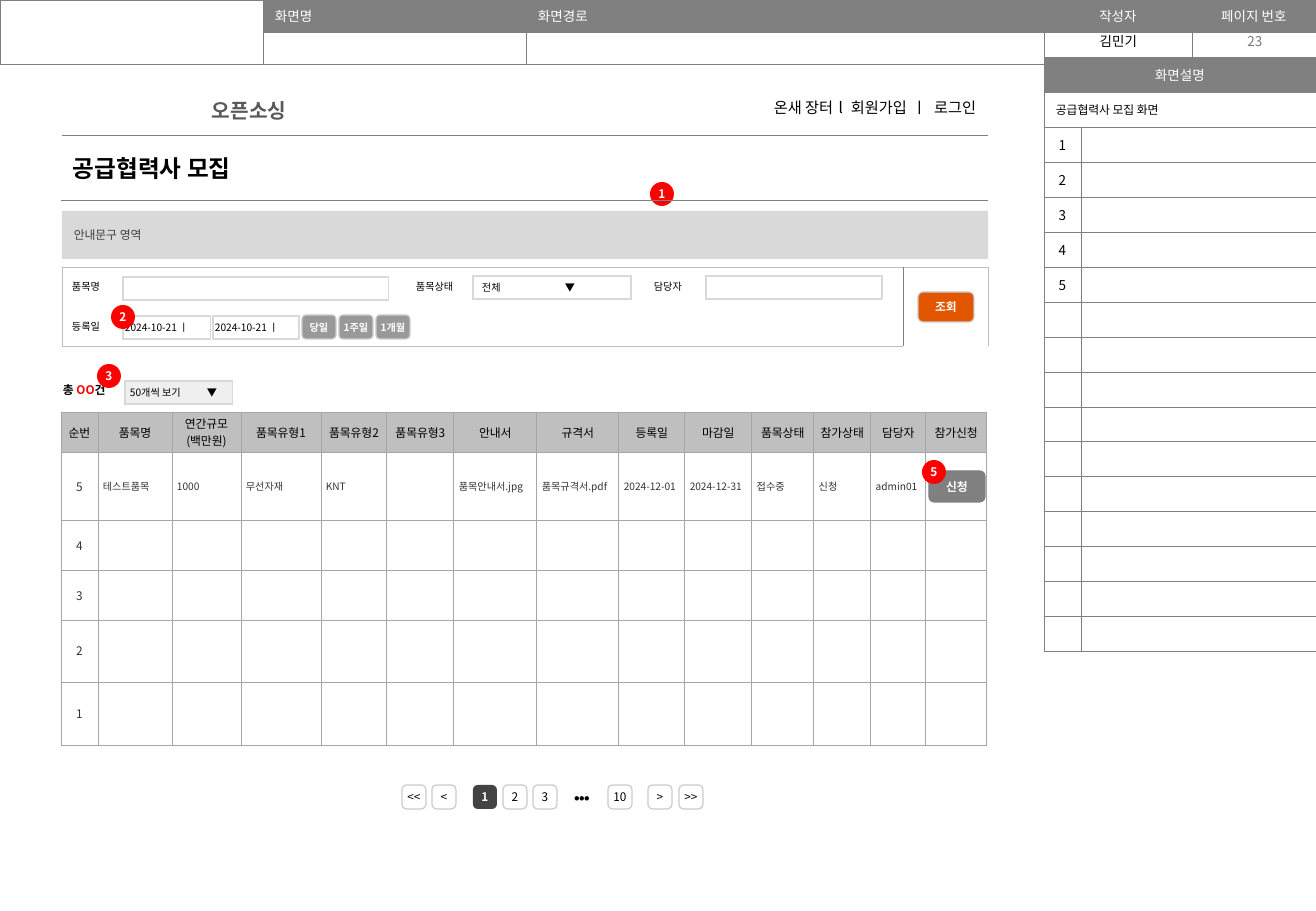
"""Build the supplier recruitment screen specification slide."""
from dataclasses import dataclass, field, replace
from typing import Optional, Union

from lxml.etree import SubElement
from pptx import Presentation
from pptx.dml.color import RGBColor
from pptx.enum.shapes import MSO_SHAPE as Preset
from pptx.enum.text import MSO_ANCHOR as Anchor, PP_ALIGN as Align
from pptx.oxml.ns import qn
from pptx.util import Emu, Pt

PX = 7526
SANS = "Noto Sans CJK KR"
COLORS = {
    "white": "FFFFFF", "black": "000000", "bar": "808080", "number": "797979",
    "grid": "A6A6A6", "head": "BFBFBF", "body": "343434", "field": "D9D9D9",
    "select": "EFEFEF", "current": "434343", "outline": "CCCCCC", "badge": "FF0000",
    "search": "E35600", "period": "999999", "notice": "404040", "site": "595959",
}


@dataclass(frozen=True)
class Style:
    size: int = 7
    color: str = "black"
    bold: bool = False
    align: Align = Align.LEFT
    font: str = SANS
    tab: int = 0
    leading: float = 1.0


@dataclass(frozen=True)
class Run:
    text: str
    color: str = ""
    spacing: int = 0


@dataclass(frozen=True)
class Label:
    text: Union[str, tuple[Run, ...]]
    style: Style = Style()


@dataclass(frozen=True)
class Box:
    left: int
    top: int
    width: int
    height: int
    label: Label
    fill: Optional[str] = None
    line: Optional[str] = None
    radius: Optional[float] = None
    inset: tuple[int, int] = (0, 0)
    anchor: Anchor = Anchor.MIDDLE


@dataclass(frozen=True)
class Grid:
    left: int
    top: int
    cols: list[int]
    rows: list[int]
    labels: dict[tuple[int, int], Label] = field(default_factory=dict)
    fills: dict[tuple[int, int], str] = field(default_factory=dict)
    merges: tuple[tuple[int, int, int, int], ...] = ()
    outer: tuple[str, str, str, str] = ("bar",) * 4
    inner: Optional[str] = "bar"
    divider: int = -1
    weight: float = 0.25
    inset: tuple[int, int] = (12, 6)
    empty: int = 6


def rgb(name: str) -> RGBColor:
    return RGBColor.from_string(COLORS[name])


def px(value: int) -> Emu:
    return Emu(value * PX)


def apply(target, values: dict) -> None:
    for name, value in values.items():
        setattr(target, name, value)


def margins(inset: tuple[int, int]) -> dict:
    across, down = map(px, inset)
    return {"margin_left": across, "margin_right": across,
            "margin_top": down, "margin_bottom": down}


def write(frame, label: Label) -> None:
    style = label.style
    lines = ([[Run(line)] for line in label.text.split("\n")]
             if isinstance(label.text, str) else [label.text])
    for index, line in enumerate(lines):
        paragraph = frame.add_paragraph() if index else frame.paragraphs[0]
        apply(paragraph, {"alignment": style.align, "line_spacing": style.leading})
        if style.tab:
            stops = SubElement(paragraph._p.get_or_add_pPr(), qn("a:tabLst"))
            SubElement(stops, qn("a:tab"), pos=str(px(style.tab)), algn="l")
        for part in line:
            run = paragraph.add_run()
            run.text = part.text
            apply(run.font, {"size": Pt(style.size), "bold": style.bold, "name": style.font})
            run.font.color.rgb = rgb(part.color or style.color)
            props = run.font._element
            SubElement(props, qn("a:ea"), typeface=style.font)
            if part.spacing:
                props.set("spc", str(part.spacing))


def draw_box(shapes, box: Box) -> None:
    place = [px(v) for v in (box.left, box.top, box.width, box.height)]
    if box.radius is None:
        shape = shapes.add_textbox(*place)
    else:
        shape = shapes.add_shape(Preset.ROUNDED_RECTANGLE, *place)
        shape.adjustments[0] = box.radius
        shape.shadow.inherit = False
        for paint, color in ((shape.fill, box.fill), (shape.line.fill, box.line)):
            if color:
                paint.solid()
                paint.fore_color.rgb = rgb(color)
            else:
                paint.background()
        if box.line:
            shape.line.width = Pt(0.75)
    apply(shape.text_frame, {"word_wrap": True, "vertical_anchor": box.anchor, **margins(box.inset)})
    write(shape.text_frame, box.label)


def draw_borders(cell, grid: Grid, row: int, col: int) -> None:
    at_edge = (col == 0, col == len(grid.cols) - 1, row == 0, row == len(grid.rows) - 1)
    divided = (col == grid.divider, col == grid.divider - 1, False, False)
    for side, edge, outer, split in zip("LRTB", at_edge, grid.outer, divided):
        color = "bar" if split else outer if edge else grid.inner
        line = SubElement(cell._tc.get_or_add_tcPr(), qn(f"a:ln{side}"), w=str(Pt(grid.weight)))
        if color:
            SubElement(SubElement(line, qn("a:solidFill")), qn("a:srgbClr"), val=COLORS[color])
        else:
            SubElement(line, qn("a:noFill"))


def draw_grid(shapes, grid: Grid) -> None:
    table = shapes.add_table(len(grid.rows), len(grid.cols), px(grid.left), px(grid.top),
                             px(sum(grid.cols)), px(sum(grid.rows))).table
    apply(table, {"first_row": False, "horz_banding": False})
    for column, width in zip(table.columns, grid.cols):
        column.width = px(width)
    for line, height in zip(table.rows, grid.rows):
        line.height = px(height)
    for row in range(len(grid.rows)):
        for col in range(len(grid.cols)):
            cell = table.cell(row, col)
            draw_borders(cell, grid, row, col)
            apply(cell, {"vertical_anchor": Anchor.MIDDLE, **margins(grid.inset)})
            if (row, col) in grid.fills:
                cell.fill.solid()
                cell.fill.fore_color.rgb = rgb(grid.fills[row, col])
            else:
                cell.fill.background()
            if (row, col) in grid.labels:
                write(cell.text_frame, grid.labels[row, col])
            else:
                end = cell.text_frame.paragraphs[0]._p.get_or_add_endParaRPr()
                end.set("sz", str(grid.empty * 100))
    for top, left, bottom, right in grid.merges:
        table.cell(top, left).merge(table.cell(bottom, right))


def entry(left: int, top: int, width: int, text: str = "", fill: str = "white",
          inset: int = 2, tab: int = 0) -> Grid:
    labels = {(0, 0): Label(text, Style(6, tab=tab))} if text else {}
    return Grid(left, top, [width], [23], labels, {(0, 0): fill},
                outer=("field",) * 4, weight=0.75, inset=(inset, 2))


def badge(left: int, top: int, text: str) -> Box:
    return Box(left, top, 24, 24, Label(text, BUTTON), "badge", radius=0.5)


SMALL = Style(6)
CENTER = Style(align=Align.CENTER)
BUTTON = replace(CENTER, color="white", bold=True)
BAR = Style(8, "white")
BAR_CENTER = replace(BAR, align=Align.CENTER)
SPEC = replace(CENTER, size=8)
HEADINGS = ("순번", "품목명", "연간규모\n(백만원)", "품목유형1", "품목유형2", "품목유형3", "안내서",
            "규격서", "등록일", "마감일", "품목상태", "참가상태", "담당자", "참가신청")
ITEM = ("", "테스트품목", "1000", "무선자재", "KNT", "", "품목안내서.jpg", "품목규격서.pdf",
        "2024-12-01", "2024-12-31", "접수중", "신청", "admin01", "")
PAGES = {"<<": 402, "<": 432, "1": 473, "2": 503, "3": 533, "10": 608, ">": 648, ">>": 679}

HEADER = Grid(
    0, 0, [263, 263, 518, 148, 124], [32, 32],
    {(0, col): Label(text, BAR if col < 3 else BAR_CENTER)
     for col, text in enumerate(("화면명", "화면경로", "작성자", "페이지 번호"), 1)},
    {(0, col): "bar" for col in range(1, 5)}, ((0, 0, 1, 0),))
ITEMS = Grid(
    61, 412, [37, 74, 69, 80, 66, 67, 83, 82, 66, 67, 62, 57, 55, 61], [40, 68, 50, 50, 62, 63],
    {(0, col): Label(text, CENTER) for col, text in enumerate(HEADINGS)}
    | {(1, col): Label(text, replace(SMALL, color="body")) for col, text in enumerate(ITEM) if text}
    | {(row, 0): Label(str(6 - row), replace(CENTER, color="body")) for row in range(1, 6)},
    {(0, col): "head" for col in range(len(HEADINGS))},
    outer=("grid",) * 4, inner="grid", weight=0.5, inset=(5, 2))
DESCRIPTION = Grid(
    1044, 57, [37, 235], [35] * 17,
    {(0, 0): Label("화면설명", BAR_CENTER), (1, 0): Label("공급협력사 모집 화면")}
    | {(row + 1, 0): Label(str(row), SPEC) for row in range(1, 6)},
    {(0, 0): "bar"}, ((0, 0, 0, 1), (1, 0, 1, 1)))
SEARCH = Grid(
    62, 267, [69, 275, 80, 158, 68, 191, 85], [39, 40],
    {(0, 0): Label("품목명", SMALL), (0, 2): Label("품목상태", SMALL),
     (0, 4): Label("담당자", SMALL), (1, 0): Label("등록일", SMALL)},
    merges=((0, 6, 1, 6),), outer=("head",) * 4, inner=None, divider=6, inset=(10, 5))
TITLE = Grid(61, 135, [927], [65], {(0, 0): Label("공급협력사 모집", Style(14, bold=True))},
             outer=("white", "white", "bar", "bar"))
MENU = (Run("온새 장터"), Run(" l ", spacing=130), Run("회원가입"), Run(" ㅣ ", spacing=130), Run("로그인"))

PARTS = [
    HEADER,
    Box(1044, 27, 149, 29, Label("김민기", SPEC), inset=(12, 6), anchor=Anchor.TOP),
    Box(1194, 27, 122, 29, Label("23", replace(SPEC, color="number")), inset=(12, 6)),
    ITEMS, DESCRIPTION,
    entry(125, 381, 108, "50개씩 보기\t▼", "select", 5, 77),
    Box(51, 373, 76, 40, Label((Run("총"), Run(" OO", "badge"), Run("건")),
                               Style(bold=True, leading=1.1)), inset=(12, 12), anchor=Anchor.TOP),
    *(Box(left, 785, 24, 24, Label(text, BUTTON if text == "1" else CENTER),
          "current" if text == "1" else None, None if text == "1" else "outline", 0.2)
      for text, left in PAGES.items()),
    Box(564, 785, 36, 24, Label("⦁⦁⦁", replace(CENTER, size=6)), radius=0.2),
    badge(97, 364, "3"),
    SEARCH,
    Box(918, 292, 56, 30, Label("조회", BUTTON), "search", "outline", 0.17),
    entry(473, 276, 158, "전체\t▼", inset=9, tab=83),
    *(entry(left, 316, width, "2024-10-21 ㅣ") for left, width in ((123, 88), (213, 86))),
    entry(123, 277, 266), entry(706, 276, 176),
    *(Box(302 + 37 * step, 315, 34, 24, Label(text, replace(BUTTON, size=6)), "period", "outline", 0.17)
      for step, text in enumerate(("당일", "1주일", "1개월"))),
    badge(650, 182, "1"), badge(111, 305, "2"),
    Box(62, 211, 926, 48, Label("안내문구 영역", Style(color="notice", font="Roboto")),
        "field", radius=0, inset=(12, 6)),
    Box(200, 92, 107, 36, Label("오픈소싱", Style(12, "site", True)), inset=(12, 6), anchor=Anchor.TOP),
    Box(420, 89, 568, 36, Label(MENU, Style(9, align=Align.RIGHT)), inset=(12, 12)),
    TITLE,
    Box(929, 471, 56, 31, Label("신청", BUTTON), "bar", "bar", 0.17),
    badge(922, 460, "5"),
]


def main() -> None:
    deck = Presentation()
    apply(deck, {"slide_width": px(1316), "slide_height": px(911)})
    shapes = deck.slides.add_slide(deck.slide_layouts[6]).shapes
    for part in PARTS:
        if isinstance(part, Grid):
            draw_grid(shapes, part)
        else:
            draw_box(shapes, part)
    deck.save("out.pptx")


if __name__ == "__main__":
    main()
